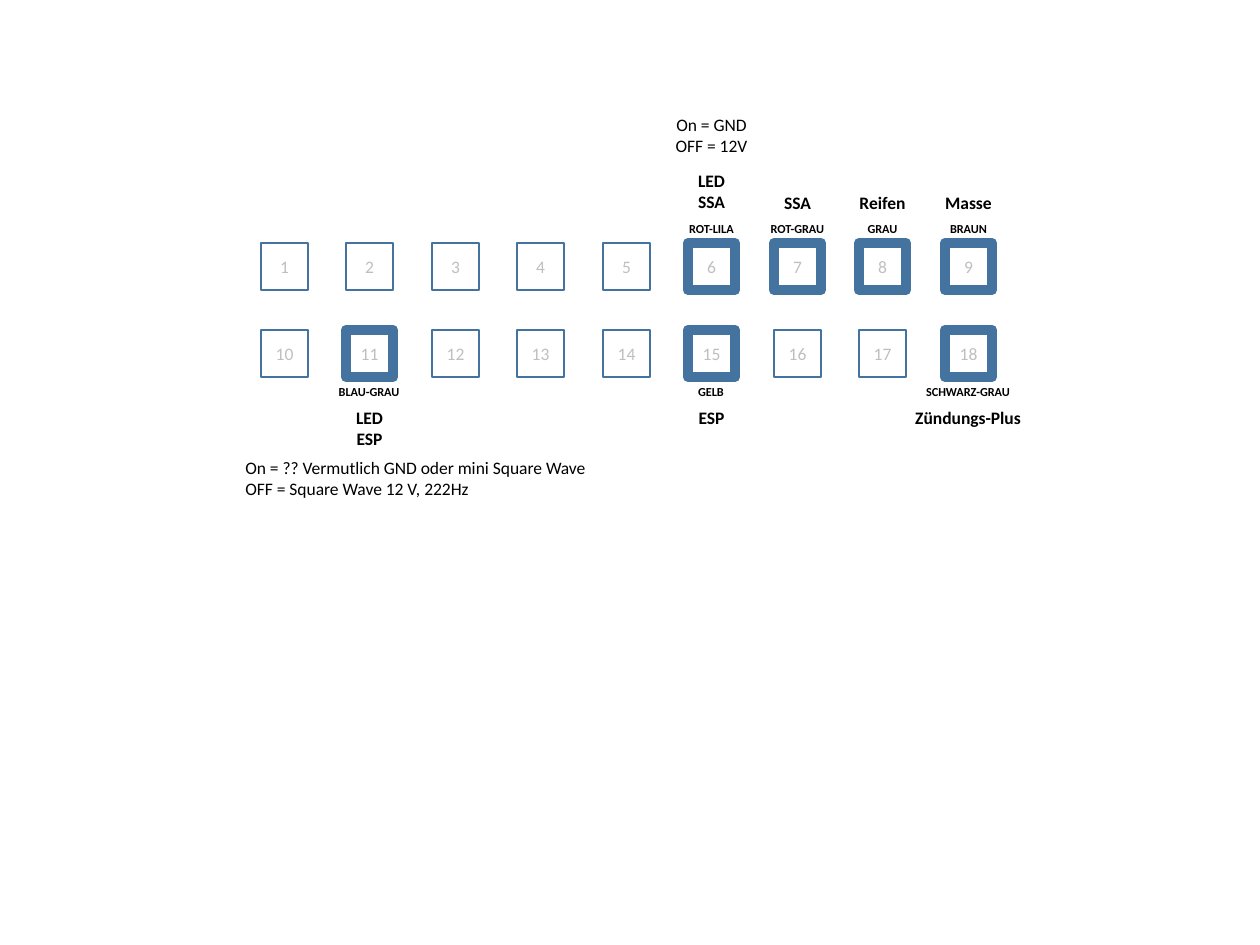
from pptx import Presentation
from pptx.dml.color import RGBColor
from pptx.enum.shapes import MSO_SHAPE as Shape
from pptx.enum.text import MSO_ANCHOR as Anchor, MSO_AUTO_SIZE as AutoSize, PP_ALIGN as Align
from pptx.util import Inches, Pt

BLUE = RGBColor(0x43, 0x73, 0x9E)
GREY = RGBColor(0xBF, 0xBF, 0xBF)
BLACK = RGBColor(0, 0, 0)

COLUMNS = 9
PIN_SIZE = 47
ROW_TOPS = (243, 330)
USED_PINS = {6, 7, 8, 9, 11, 15, 18}


def pin_left(pin):
    return 261 + (pin - 1) % COLUMNS * 171 // 2


class PinoutSlide:
    """Draws connector pins and their labels on one slide."""

    font = "Calibri"
    scale = Inches(1) / 126

    def __init__(self, slide):
        self.slide = slide

    def lengths(self, *pixels):
        return [round(value * self.scale) for value in pixels]

    def set_text(self, shape, text, size, color, bold=False, align=Align.CENTER):
        shape.text_frame.text = text
        shape.text_frame.word_wrap = True
        for paragraph in shape.text_frame.paragraphs:
            paragraph.alignment = align
            for run in paragraph.runs:
                run.font.name = self.font
                run.font.size = Pt(size)
                run.font.bold = bold
                run.font.color.rgb = color

    def pin(self, number):
        top = ROW_TOPS[(number - 1) // COLUMNS]
        box = self.lengths(pin_left(number), top, PIN_SIZE, PIN_SIZE)
        shape = self.slide.shapes.add_shape(Shape.RECTANGLE, *box)
        shape.shadow.inherit = False
        shape.fill.background()
        shape.line.color.rgb = BLUE
        shape.line.width = Pt(6 if number in USED_PINS else 1.5)
        shape.text_frame.vertical_anchor = Anchor.MIDDLE
        self.set_text(shape, str(number), 10, GREY)

    def text(self, text, left, top, width, size=10, bold=False, align=Align.CENTER):
        height = 28 if size < 10 else 34 + 21 * text.count("\n")
        shape = self.slide.shapes.add_textbox(*self.lengths(left, top, width, height))
        self.set_text(shape, text, size, BLACK, bold, align)
        shape.text_frame.auto_size = AutoSize.SHAPE_TO_FIT_TEXT

    def pin_label(self, pin, text, top, width=91, size=10, bold=True):
        left = pin_left(pin) + (PIN_SIZE - width) // 2
        self.text(text, left, top, width, size, bold)


presentation = Presentation()
presentation.slide_width = Inches(10)
presentation.slide_height = Inches(7.5)
pinout = PinoutSlide(presentation.slides.add_slide(presentation.slide_layouts[6]))

for number in range(1, 2 * COLUMNS + 1):
    pinout.pin(number)

WIRE_COLORS = [
    (6, "ROT-LILA", 215, 91), (7, "ROT-GRAU", 215, 91),
    (8, "GRAU", 215, 91), (9, "BRAUN", 215, 91),
    (18, "SCHWARZ-GRAU", 378, 118), (15, "GELB", 378, 100), (11, "BLAU-GRAU", 378, 100),
]
for pin, name, top, width in WIRE_COLORS:
    pinout.pin_label(pin, name, top, width, size=7)

FUNCTIONS = [
    (9, "Masse", 186, 91), (7, "SSA", 186, 91), (18, "Zündungs-Plus", 401, 132),
    (8, "Reifen", 186, 91), (15, "ESP", 401, 91),
    (11, "LED\nESP", 401, 91), (6, "LED\nSSA", 164, 91),
]
for pin, name, top, width in FUNCTIONS:
    pinout.pin_label(pin, name, top, width)

pinout.pin_label(6, "On = GND\nOFF = 12V", 108, 103, bold=False)
pinout.text("On = ?? Vermutlich GND oder mini Square Wave\nOFF = Square Wave 12 V, 222Hz",
            233, 451, 417, align=Align.LEFT)

presentation.save("out.pptx")
